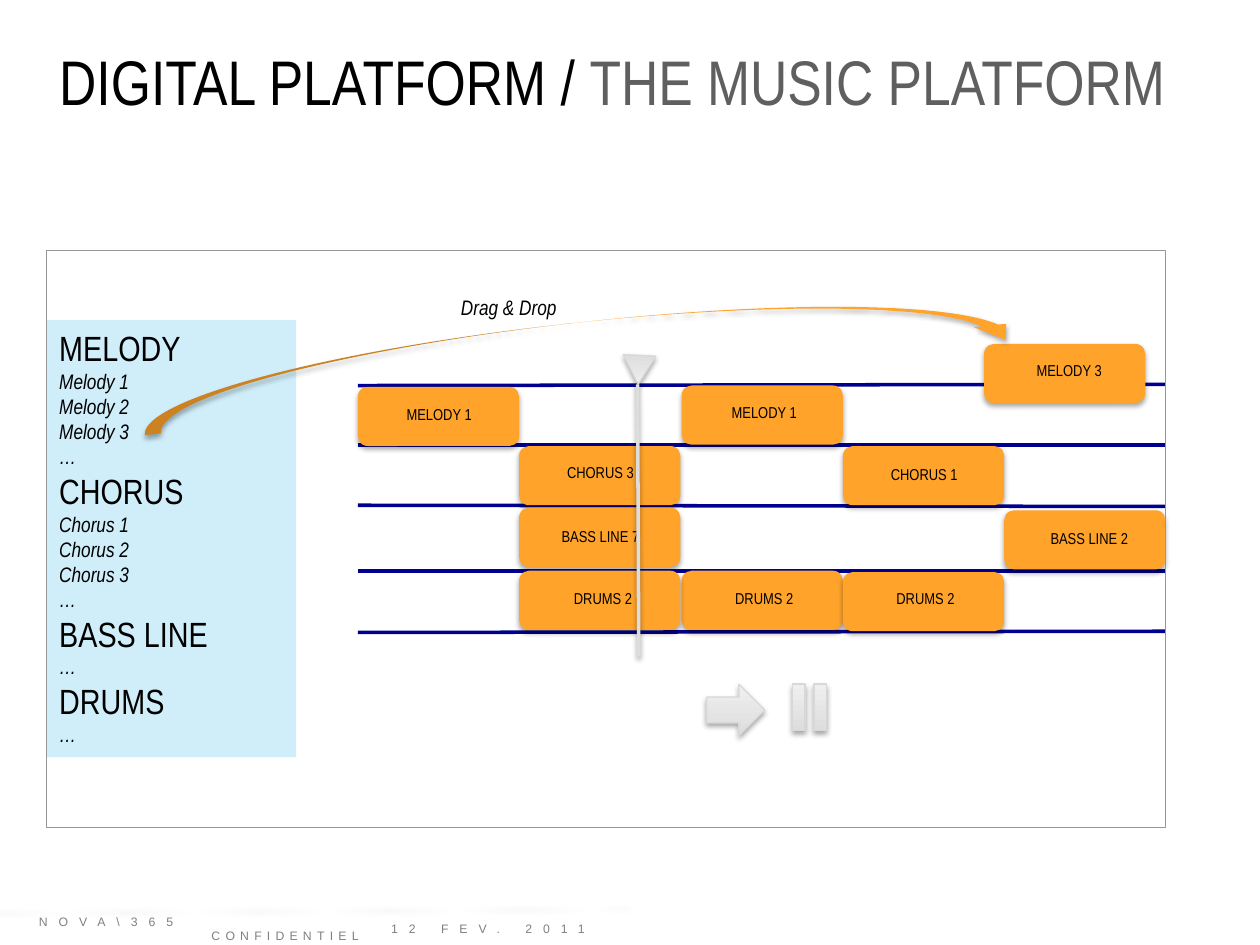
"""Build the music platform slide: a sound library beside a drag-and-drop timeline."""
import pptx
import pptx.dml.color
import pptx.enum.dml
import pptx.enum.shapes
import pptx.enum.text
import pptx.oxml
import pptx.oxml.ns
import pptx.util
from lxml import etree

Inches = pptx.util.Inches
Pt = pptx.util.Pt
RGBColor = pptx.dml.color.RGBColor
SHAPE = pptx.enum.shapes.MSO_SHAPE
STRAIGHT = pptx.enum.shapes.MSO_CONNECTOR.STRAIGHT
ALIGN = pptx.enum.text.PP_ALIGN
ANCHOR = pptx.enum.text.MSO_ANCHOR
NO_FIT = pptx.enum.text.MSO_AUTO_SIZE.NONE
qn = pptx.oxml.ns.qn

WHITE = RGBColor(0xFF, 0xFF, 0xFF)
BLACK = RGBColor(0x00, 0x00, 0x00)
TITLE_GREY = RGBColor(0x5F, 0x5F, 0x5F)
FOOTER_GREY = RGBColor(0x80, 0x80, 0x80)
FRAME_GREY = RGBColor(0x96, 0x96, 0x96)
NAVY = RGBColor(0x00, 0x00, 0x90)
ORANGE = RGBColor(0xFF, 0xA3, 0x2A)
PALE_BLUE = RGBColor(0xD0, 0xEE, 0xFA)
SILVER = RGBColor(0xDD, 0xDD, 0xDD)
LIGHT_SILVER = RGBColor(0xEF, 0xEF, 0xEF)
SILVER_EDGE = RGBColor(0xD8, 0xD8, 0xD8)


def add_shadow(element, distance=1.8, alpha=35):
    properties = element.spPr
    effects = properties.find(qn("a:effectLst"))
    if effects is None:
        effects = etree.SubElement(properties, qn("a:effectLst"))
    shadow = etree.SubElement(effects, qn("a:outerShdw"), blurRad=str(Pt(3.1)),
                              dist=str(Pt(distance)), dir="5400000", rotWithShape="0")
    color = etree.SubElement(shadow, qn("a:srgbClr"), val="000000")
    etree.SubElement(color, qn("a:alpha"), val=str(alpha * 1000))


def add_text(left, top, width, height, words, size, font="Arial Narrow", color=BLACK, spacing=0):
    box = slide.shapes.add_textbox(Inches(left), Inches(top), Inches(width), Inches(height))
    box.text_frame.word_wrap = True
    box.text_frame.text = words
    for paragraph in box.text_frame.paragraphs:
        paragraph.font.size = Pt(size)
        paragraph.font.name = font
        paragraph.font.color.rgb = color
        if spacing:
            for run in paragraph.runs:
                run.font._element.set("spc", str(int(spacing * 100)))
    return box.text_frame


deck = pptx.Presentation()
deck.slide_width, deck.slide_height = Inches(10), Inches(7.5)
slide = deck.slides.add_slide(deck.slide_layouts[1])
slide.background.fill.solid()
slide.background.fill.fore_color.rgb = WHITE

title = slide.shapes.title
title.left, title.top, title.width, title.height = Inches(0.37), Inches(0.29), Inches(9.13), Inches(0.71)
title.text_frame.auto_size = NO_FIT
title.text_frame.vertical_anchor = ANCHOR.TOP
heading = title.text_frame.paragraphs[0]
heading.alignment = ALIGN.LEFT
heading.font.size = Pt(36)
heading.font.name = "Arial Narrow"
for words, color in (("DIGITAL PLATFORM / ", BLACK), ("THE MUSIC PLATFORM", TITLE_GREY)):
    run = heading.add_run()
    run.text = words
    run.font.color.rgb = color

library = slide.placeholders[1]
library.left, library.top, library.width, library.height = Inches(0.37), Inches(2.54), Inches(1.98), Inches(3.47)
library.fill.solid()
library.fill.fore_color.rgb = PALE_BLUE
library.text_frame.auto_size = NO_FIT
sounds = ["MELODY", "Melody 1", "Melody 2", "Melody 3", "…",
          "CHORUS", "Chorus 1", "Chorus 2", "Chorus 3", "…",
          "BASS LINE", "…", "DRUMS", "…"]
library.text_frame.text = "\n".join(sounds)
for paragraph in library.text_frame.paragraphs:
    is_group = paragraph.text.isupper()
    layout = paragraph._p.get_or_add_pPr()
    layout.set("marL", "0")
    layout.set("indent", "0")
    etree.SubElement(layout, qn("a:buNone"))
    paragraph.space_before = Pt(0)
    paragraph.font.size = Pt(20 if is_group else 12)
    paragraph.font.italic = not is_group
    paragraph.font.name = "Arial Narrow"
    paragraph.font.color.rgb = BLACK

footer_rule = slide.shapes.add_connector(STRAIGHT, Inches(0), Inches(7.22), Inches(5), Inches(7.19))
footer_rule.line.color.rgb = WHITE
footer_rule.line.width = Pt(0.25)
rule_color = footer_rule.line._ln.find(".//" + qn("a:srgbClr"))
etree.SubElement(rule_color, qn("a:alpha"), val="46000")
add_shadow(footer_rule._element, 1.6, 38)

date = add_text(2.79, 7.17, 2.21, 0.4, "12 FEV. 2011", 7, "Arial", FOOTER_GREY, 6.3)
date.margin_right = Inches(0.36)
date.paragraphs[0].alignment = ALIGN.RIGHT
date.vertical_anchor = ANCHOR.MIDDLE

notice = add_text(0.21, 7.17, 4.79, 0.4, "NOVA\\365\nCONFIDENTIEL", 7, "Arial", FOOTER_GREY, 6.3)
notice.vertical_anchor = ANCHOR.MIDDLE
confidential = notice.paragraphs[1]
confidential._p.get_or_add_pPr().set("marL", str(Inches(1.37)))
confidential.runs[0].font._element.set("spc", "300")

for start, end in ((3.06, 3.05), (3.53, 3.53), (4.01, 4.02), (4.53, 4.53), (5.02, 5.01)):
    track = slide.shapes.add_connector(STRAIGHT, Inches(2.84), Inches(start), Inches(9.25), Inches(end))
    track.line.color.rgb = NAVY
    track.line.width = Pt(2)
    etree.SubElement(track._element.spPr, qn("a:effectLst"))

clips = [
    ("MELODY 1", 2.84, 3.07, 2.94, 3.16),
    ("CHORUS 3", 4.12, 3.54, 4.22, 3.62),
    ("BASS LINE 7", 4.12, 4.03, 4.22, 4.13),
    ("DRUMS 2", 5.41, 4.53, 5.52, 4.62),
    ("DRUMS 2", 6.69, 4.54, 6.8, 4.62),
    ("DRUMS 2", 4.12, 4.53, 4.24, 4.62),
    ("CHORUS 1", 6.69, 3.54, 6.79, 3.64),
    ("MELODY 3", 7.81, 2.73, 7.94, 2.81),
    ("BASS LINE 2", 7.97, 4.05, 8.1, 4.15),
    ("MELODY 1", 5.41, 3.06, 5.52, 3.15),
]
orange_parts = [(SHAPE.ROUNDED_RECTANGLE, left, top, 1.28, 0.47, 0) for _, left, top, _, _ in clips]
orange_parts.append((SHAPE.CURVED_DOWN_ARROW, 1.1, 2.56, 7, 0.51, -6.3))
for kind, left, top, width, height, rotation in orange_parts:
    part = slide.shapes.add_shape(kind, Inches(left), Inches(top), Inches(width), Inches(height))
    part.rotation = rotation
    part.fill.solid()
    part.fill.fore_color.rgb = ORANGE
    part.line.fill.background()
    part.shadow.inherit = False
    add_shadow(part._element)

for name, _, _, left, top in clips:
    add_text(left, top, 1.09, 0.25, name, 9).paragraphs[0].alignment = ALIGN.CENTER

add_text(3.56, 2.29, 1.04, 0.3, "Drag & Drop", 12).paragraphs[0].font.italic = True

controls = [
    (SHAPE.ISOSCELES_TRIANGLE, 4.94, 2.82, 0.26, 0.23, 182.8),
    (SHAPE.RECTANGLE, 6.29, 5.43, 0.1, 0.37, 0),
    (SHAPE.RECTANGLE, 6.46, 5.43, 0.1, 0.37, 0),
    (SHAPE.RIGHT_ARROW, 5.61, 5.43, 0.46, 0.41, 0),
]
for kind, left, top, width, height, rotation in controls:
    control = slide.shapes.add_shape(kind, Inches(left), Inches(top), Inches(width), Inches(height))
    control.rotation = rotation
    control.fill.gradient()
    control.fill.gradient_angle = 90
    for stop, position, color in zip(control.fill.gradient_stops, (0, 1), (SILVER, LIGHT_SILVER)):
        stop.position = position
        stop.color.rgb = color
    control.line.color.rgb = SILVER_EDGE
    control.line.width = Pt(0.75)
    control.shadow.inherit = False
    add_shadow(control._element)

playhead = slide.shapes.add_connector(STRAIGHT, Inches(5.06), Inches(3.05), Inches(5.07), Inches(5.21))
playhead.line.color.rgb = SILVER
playhead.line.width = Pt(2)
add_shadow(playhead._element, 1.6, 38)

frame = slide.shapes.add_shape(SHAPE.RECTANGLE, Inches(0.37), Inches(1.99), Inches(8.88), Inches(4.58))
frame.fill.background()
frame.line.color.rgb = FRAME_GREY
frame.line.width = Pt(0.75)
frame.shadow.inherit = False

deck.save("out.pptx")
